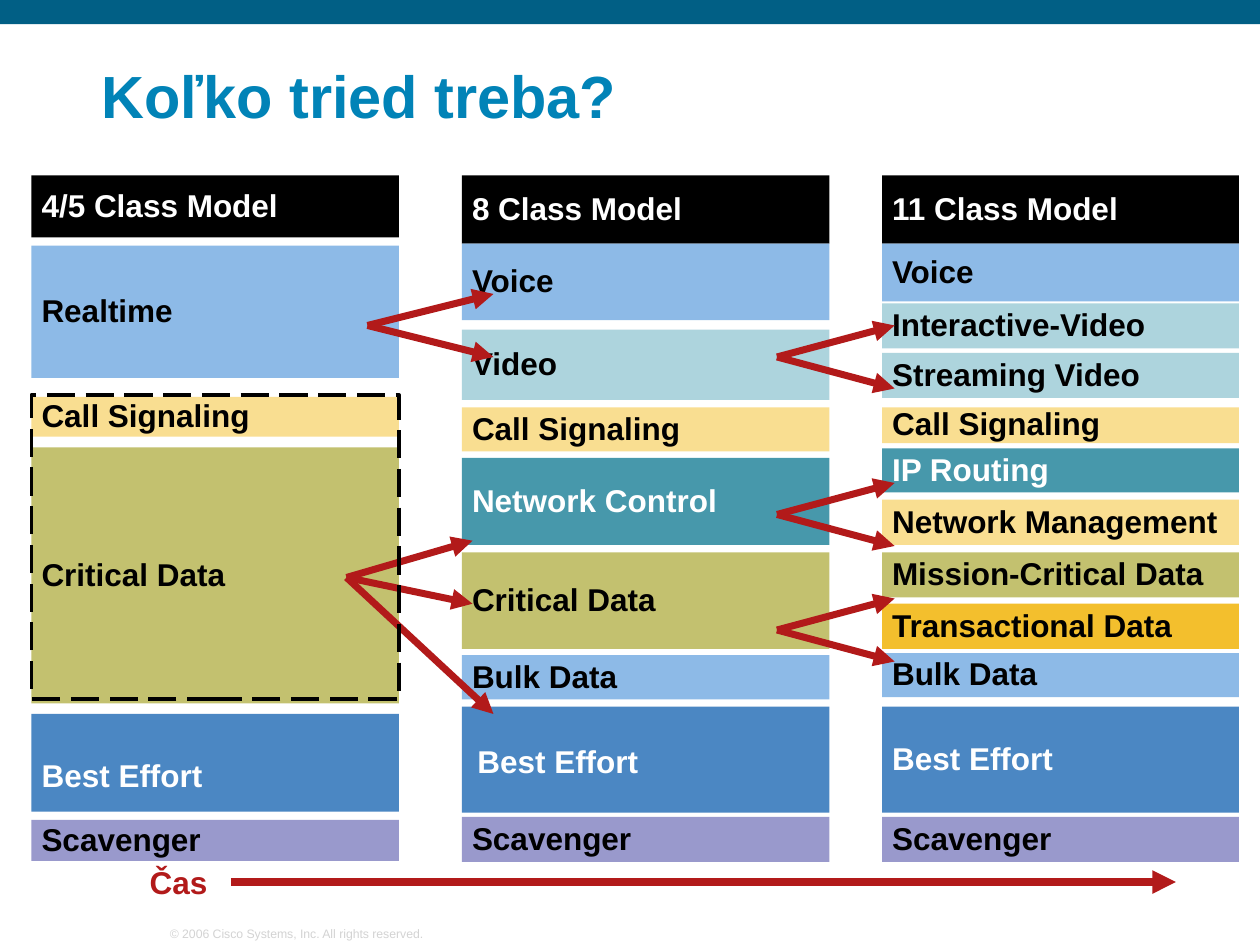
from lxml import etree
from pptx import Presentation
from pptx import util as u
from pptx.dml.color import RGBColor
from pptx.enum import dml, shapes, text
from pptx.oxml.ns import qn

# Grid: 120 columns by 90 rows, twelve to the inch
CELL = u.Inches(1) // 12
COLORS = {
    "bar": "015F85", "title": "0183B7", "copyright": "D3D3D3",
    "black": "000000", "white": "FFFFFF", "arrow": "B21A1A",
    "voice": "8DBAE7", "video": "ADD4DD", "signal": "F9DE91",
    "control": "4798AB", "critical": "C3C16F", "trans": "F3BF2D",
    "effort": "4B87C3", "scavenger": "9999CC",
}
DARK = {"black", "control", "effort"}
ANCHOR = text.MSO_ANCHOR

# Each model: left, width, rows of (label, top, height, colour)
MODELS = [
    (3, 35, [
        ("4/5 Class Model", 16.7, 5.9, "black"),
        ("Realtime", 23.4, 12.6, "voice"),
        ("Call Signaling", 37.8, 3.8, "signal"),
        ("Critical Data", 42.6, 24.4, "critical"),
        ("", 68, 9.3, "effort"),
        ("Scavenger", 78.1, 3.9, "scavenger"),
    ]),
    (44, 35, [
        ("8 Class Model", 16.7, 6.5, "black"),
        ("Voice", 23.2, 7.3, "voice"),
        ("Video", 31.4, 6.7, "video"),
        ("Call Signaling", 38.8, 4.2, "signal"),
        ("Network Control", 43.6, 8.3, "control"),
        ("Critical Data", 52.6, 9.2, "critical"),
        ("Bulk Data", 62.4, 4.2, "voice"),
        ("", 67.3, 10.1, "effort"),
        ("Scavenger", 77.8, 4.3, "scavenger"),
    ]),
    (84, 34, [
        ("11 Class Model", 16.7, 6.5, "black"),
        ("Voice", 23.2, 5.5, "voice"),
        ("Interactive-Video", 28.9, 4.3, "video"),
        ("Streaming Video", 33.6, 4.3, "video"),
        ("Call Signaling", 38.8, 3.4, "signal"),
        ("IP Routing", 42.7, 4.2, "control"),
        ("Network Management", 47.6, 4.3, "signal"),
        ("Mission-Critical Data", 52.6, 4.3, "critical"),
        ("Transactional Data", 57.5, 4.3, "trans"),
        ("Bulk Data", 62.2, 4.2, "voice"),
        ("Best Effort", 67.3, 10.1, "effort"),
        ("Scavenger", 77.8, 4.3, "scavenger"),
    ]),
]

# Each split: start point, then the end points of its arrows
SPLITS = [
    ((74, 49), [(85.2, 46), (85.2, 52)]),
    ((74, 60), [(85.2, 57), (85.2, 63)]),
    ((74, 34), [(85.2, 31), (85.2, 37)]),
    ((35, 31), [(47, 28), (47, 34)]),
    ((33, 55), [(45, 51.5), (45, 57.5), (47, 68)]),
]


def grid(*cells):
    return [u.Emu(round(c * CELL)) for c in cells]


def rgb(name):
    return RGBColor.from_string(COLORS[name])


def write(sp, words, color, size=18, bold=True, spacing=0.95,
          anchor=ANCHOR.MIDDLE, wrap=False, side=0.08):
    tf = sp.text_frame
    frame = {"vertical_anchor": anchor, "word_wrap": wrap,
             "margin_left": u.Inches(side), "margin_right": u.Inches(side),
             "margin_top": u.Inches(0.04), "margin_bottom": u.Inches(0.04)}
    for key, value in frame.items():
        setattr(tf, key, value)
    p = tf.paragraphs[0]
    p.alignment, p.line_spacing = text.PP_ALIGN.LEFT, spacing
    r = p.add_run()
    r.text = words
    for key, value in {"name": "Arial", "size": u.Pt(size), "bold": bold}.items():
        setattr(r.font, key, value)
    r.font.color.rgb = rgb(color)


def add_label(s, box, words, color, **style):
    write(s.shapes.add_textbox(*grid(*box)), words, color, **style)


def add_box(s, box, fill=None):
    sp = s.shapes.add_shape(shapes.MSO_SHAPE.RECTANGLE, *grid(*box))
    sp.shadow.inherit = False
    sp.line.fill.background()
    if fill:
        sp.fill.solid()
        sp.fill.fore_color.rgb = rgb(fill)
    else:
        sp.fill.background()
    return sp


def add_model(s, left, width, rows):
    for label, top, height, fill in rows:
        sp = add_box(s, (left, top, width, height), fill)
        if label:
            write(sp, label, "white" if fill in DARK else "black")


def add_arrow(s, start, end, width=4):
    line = s.shapes.add_connector(shapes.MSO_CONNECTOR.STRAIGHT,
                                  *grid(*start, *end))
    line.line.color.rgb = rgb("arrow")
    line.line.width = u.Pt(width)
    etree.SubElement(line.line._get_or_add_ln(), qn("a:tailEnd"), type="triangle")
    etree.SubElement(line._element.spPr, qn("a:effectLst"))


def add_dashed_frame(s, box):
    frame = add_box(s, box)
    frame.line.color.rgb = rgb("black")
    frame.line.width = u.Pt(2)
    frame.line.dash_style = dml.MSO_LINE.LONG_DASH


def main():
    prs = Presentation()
    prs.slide_width, prs.slide_height = grid(120, 90)
    s = prs.slides.add_slide(prs.slide_layouts[6])

    add_box(s, (0, 0, 120, 2.3), "bar")
    add_label(s, (15.1, 87.6, 26.5, 2.5),
              "© 2006 Cisco Systems, Inc. All rights reserved.", "copyright",
              size=7, bold=False, spacing=1, anchor=ANCHOR.BOTTOM, side=0.09)
    add_label(s, (8.6, 4, 107, 9), "Koľko tried treba?", "title", size=34,
              spacing=0.9, anchor=ANCHOR.BOTTOM, wrap=True, side=0.09)

    for model in MODELS:
        add_model(s, *model)
    add_label(s, (3, 71.8, 34, 4.4), "Best Effort", "white", wrap=True)
    add_label(s, (44.5, 70.4, 34, 4.4), "Best Effort", "white", wrap=True)

    for start, ends in SPLITS:
        for end in ends:
            add_arrow(s, start, end)
    add_dashed_frame(s, (3, 37.6, 35, 29))

    add_label(s, (13.3, 81.5, 8, 5), "Čas", "arrow", spacing=1)
    add_arrow(s, (22, 84), (112, 84), 4.5)
    prs.save("out.pptx")


if __name__ == "__main__":
    main()
